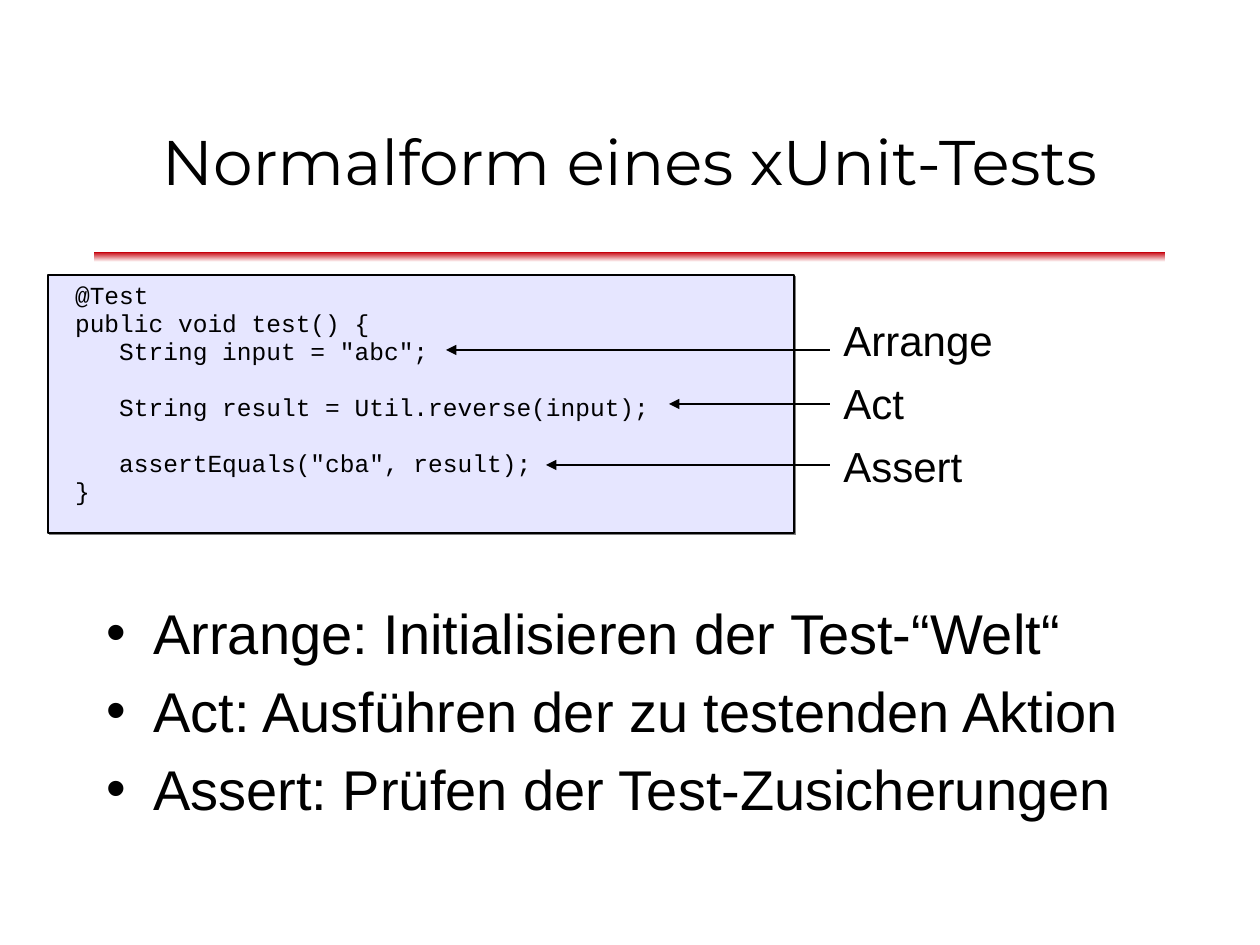
import pptx
import pptx.dml.color
import pptx.enum.shapes
import pptx.enum.text
import pptx.oxml
import pptx.oxml.ns
import pptx.util

PX = 914400 / 126  # EMU per pixel
BLACK = "000000"
NS = pptx.oxml.ns.nsdecls("a")
ALIGN = pptx.enum.text.PP_ALIGN
ANCHOR = pptx.enum.text.MSO_ANCHOR

CODE = [
    " @Test",
    " public void test() {",
    '    String input = "abc";',
    "    String result = Util.reverse(input);",
    '    assertEquals("cba", result);',
    " }",
]
STATEMENTS_AFTER_GAP = (3, 4)
PHASES = ["Arrange", "Act", "Assert"]
BULLETS = [
    "Arrange: Initialisieren der Test-“Welt“",
    "Act: Ausführen der zu testenden Aktion",
    "Assert: Prüfen der Test-Zusicherungen",
]
ARROWS = [(350, 446), (404, 669), (465, 546)]  # y, x of the tip


def px(*values):
    return [pptx.util.Emu(round(v * PX)) for v in values]


def rgb(value):
    return pptx.dml.color.RGBColor.from_string(value)


def write(sp, lines, font, size, spacing, align=ALIGN.LEFT, anchor=ANCHOR.TOP, wrap=True):
    """Fill a shape with paragraphs of one style and return them."""
    tf = sp.text_frame
    tf.text = "\n".join(lines)
    tf.word_wrap = wrap
    tf.vertical_anchor = anchor
    for p in tf.paragraphs:
        p.alignment = align
        p.line_spacing = pptx.util.Pt(spacing)
        for r in p.runs:
            r.font.name = font
            r.font.size = pptx.util.Pt(size)
            r.font.color.rgb = rgb(BLACK)
    return tf.paragraphs


def add_text(s, box, *args, **kwargs):
    return write(s.shapes.add_textbox(*px(*box)), *args, **kwargs)


def add_rect(s, box):
    sp = s.shapes.add_shape(pptx.enum.shapes.MSO_SHAPE.RECTANGLE, *px(*box))
    sp.shadow.inherit = False
    return sp


def add_rule(s, box):
    """Horizontal rule fading from red at the top to white."""
    sp = add_rect(s, box)
    sp.line.fill.background()
    sp.fill.gradient()
    sp.fill.gradient_angle = 90
    for stop, color in zip(sp.fill.gradient_stops, ("FFFFFF", "C5000B")):
        stop.color.rgb = rgb(color)


def add_code(s, box):
    sp = add_rect(s, box)
    sp.fill.solid()
    sp.fill.fore_color.rgb = rgb("E6E6FF")
    sp.line.color.rgb = rgb(BLACK)
    sp.line.width = pptx.util.Pt(0.75)
    effects = sp._element.spPr.find(pptx.oxml.ns.qn("a:effectLst"))
    effects.append(pptx.oxml.parse_xml(
        f'<a:outerShdw {NS} blurRad="0" dist="17780" dir="2700000" algn="tl" rotWithShape="0">'
        '<a:srgbClr val="808080"/></a:outerShdw>'))
    paragraphs = write(sp, CODE, "Courier New", 14, 16, wrap=False)
    for i in STATEMENTS_AFTER_GAP:
        paragraphs[i].space_before = pptx.util.Pt(16)


def add_arrow(s, x1, x2, y):
    line = s.shapes.add_connector(pptx.enum.shapes.MSO_CONNECTOR.STRAIGHT, *px(x1, y, x2, y))
    line.line.color.rgb = rgb(BLACK)
    line.line.width = pptx.util.Pt(1.42)
    line.line._get_or_add_ln().append(
        pptx.oxml.parse_xml(f'<a:tailEnd {NS} type="triangle"/>'))
    line._element.spPr.append(pptx.oxml.parse_xml(f"<a:effectLst {NS}/>"))


def add_bullets(s, box):
    for i, p in enumerate(add_text(s, box, BULLETS, "Arial", 32, 36.75)):
        if i:
            p.space_before = pptx.util.Pt(8)
        pPr = p._p.get_or_add_pPr()
        indent = px(47)[0]
        pPr.set("marL", str(indent))
        pPr.set("indent", str(-indent))
        for xml in (f'<a:buFont {NS} typeface="Arial"/>', f'<a:buChar {NS} char="•"/>'):
            pPr.append(pptx.oxml.parse_xml(xml))


def main():
    prs = pptx.Presentation()
    prs.slide_width, prs.slide_height = px(1260, 945)
    s = prs.slides.add_slide(prs.slide_layouts[6])

    # Title and rule
    add_rule(s, (94, 252, 1071, 10))
    add_text(s, (94, 23, 1071, 278), ["Normalform eines xUnit-Tests"],
             "Montserrat", 36, 41, align=ALIGN.CENTER, anchor=ANCHOR.MIDDLE)

    # Explanation of the phases
    add_bullets(s, (94, 595, 1121, 297))

    # Code with labelled phases
    add_code(s, (48, 275, 746, 258))
    add_text(s, (831, 296, 190, 202), PHASES, "Arial", 24, 36)
    for y, tip in ARROWS:
        add_arrow(s, 830, tip, y)

    prs.save("out.pptx")


if __name__ == "__main__":
    main()
